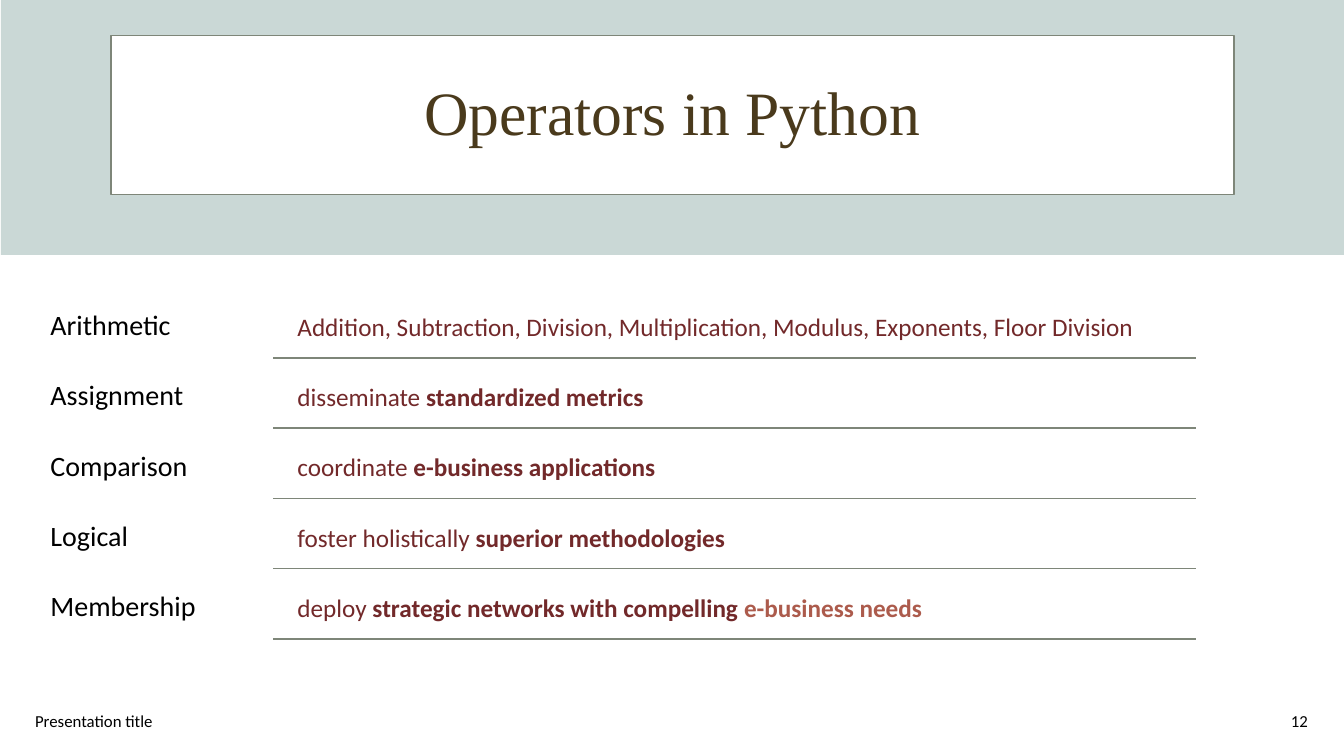
from dataclasses import dataclass

from lxml.etree import SubElement
from pptx import Presentation
from pptx.dml.color import RGBColor as Rgb
from pptx.enum.shapes import MSO_CONNECTOR as Conn, MSO_SHAPE as Form
from pptx.enum.text import MSO_ANCHOR as Anchor, PP_ALIGN as Align
from pptx.oxml.ns import qn
from pptx.util import Inches, Pt


@dataclass(frozen=True)
class Theme:
    band: str = "CAD8D6"
    white: str = "FFFFFF"
    rule: str = "7E8679"
    title: str = "4A3A1C"
    black: str = "000000"
    wine: str = "72292A"
    rust: str = "AC5B4C"
    serif: str = "Times New Roman"
    sans: str = "Calibri"
    head: int = 44
    label: int = 20
    body: int = 18
    small: int = 12


def write(par, text, font, size, color, bold=False):
    run = par.add_run()
    run.text = text
    run.font.name = font
    run.font.size = Pt(size)
    run.font.bold = bold
    run.font.color.rgb = Rgb.from_string(color)


class Deck:
    def __init__(self, show, theme):
        self.theme = theme
        self.slide = show.slides.add_slide(show.slide_layouts[6])

    def rect(self, x, y, w, h, fill, line=None):
        box = self.slide.shapes.add_shape(
            Form.RECTANGLE, Inches(x), Inches(y), Inches(w), Inches(h))
        box.shadow.inherit = False
        box.fill.solid()
        box.fill.fore_color.rgb = Rgb.from_string(fill)
        if line:
            box.line.color.rgb = Rgb.from_string(line)
            box.line.width = Pt(1)
        else:
            box.line.fill.background()

    def text(self, x, y, w, h, runs, size, font=None, color=None,
             align=Align.LEFT, pad=0.1, lead=1.0):
        box = self.slide.shapes.add_textbox(
            Inches(x), Inches(y), Inches(w), Inches(h))
        frame = box.text_frame
        frame.word_wrap = True
        frame.vertical_anchor = Anchor.MIDDLE
        frame.margin_left = frame.margin_right = Inches(pad)
        frame.margin_top = frame.margin_bottom = Inches(min(pad, 0.08))
        par = frame.paragraphs[0]
        par.alignment = align
        par.line_spacing = lead
        base = {"font": font or self.theme.sans, "size": size,
                "color": color or self.theme.black}
        for words, style in runs:
            write(par, words, **{**base, **style})

    def line(self, x, y, end):
        rule = self.slide.shapes.add_connector(
            Conn.STRAIGHT, Inches(x), Inches(y), Inches(end), Inches(y))
        rule.line.color.rgb = Rgb.from_string(self.theme.rule)
        rule.line.width = Pt(1)
        SubElement(rule._element.spPr, qn("a:effectLst"))


def main():
    theme = Theme()
    show = Presentation()
    show.slide_width = Inches(13.33)
    show.slide_height = Inches(7.5)
    deck = Deck(show, theme)

    deck.rect(0.01, 0, 13.33, 2.53, theme.band)
    deck.rect(1.1, 0.35, 11.14, 1.58, theme.white, line=theme.rule)
    deck.text(0.42, 0.42, 12.5, 1.45, [("Operators in Python", {})],
              theme.head, font=theme.serif, color=theme.title,
              align=Align.CENTER, lead=0.9)
    deck.text(0.25, 6.95, 4.5, 0.4, [("Presentation title", {})], theme.small)
    deck.text(10.07, 6.95, 3, 0.4, [("12", {})], theme.small,
              align=Align.RIGHT)

    bold = {"bold": True}
    rows = [
        ("Arithmetic", [("Addition, Subtraction, Division, Multiplication, "
                         "Modulus, Exponents, Floor Division", {})]),
        ("Assignment", [("disseminate ", {}), ("standardized metrics", bold)]),
        ("Comparison", [("coordinate ", {}),
                        ("e-business applications", bold)]),
        ("Logical", [("foster holistically ", {}),
                     ("superior methodologies", bold)]),
        ("Membership", [("deploy ", {}),
                        ("strategic networks with compelling ", bold),
                        ("e-business needs", {**bold, "color": theme.rust})]),
    ]
    first, last = 2.89, 5.68
    step = (last - first) / (len(rows) - 1)
    for i, (name, runs) in enumerate(rows):
        top = first + i * step
        deck.text(0.42, top, 2.29, 0.7, [(name, {})], theme.label,
                  pad=0.08, lead=0.9)
        deck.text(2.88, top + 0.03, 8.99, 0.63, runs, theme.body,
                  color=theme.wine, pad=0.07)
        deck.line(2.71, top + 0.66, 11.86)

    show.save("out.pptx")


if __name__ == "__main__":
    main()
